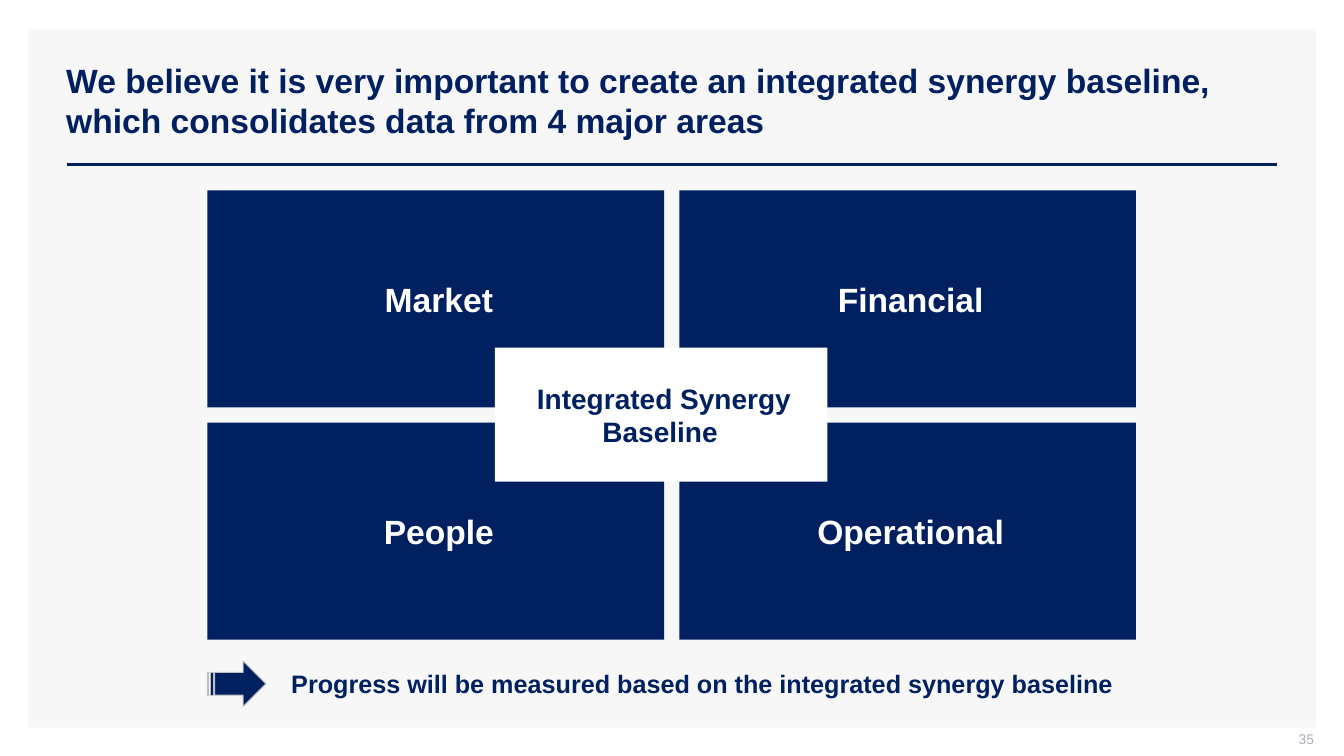
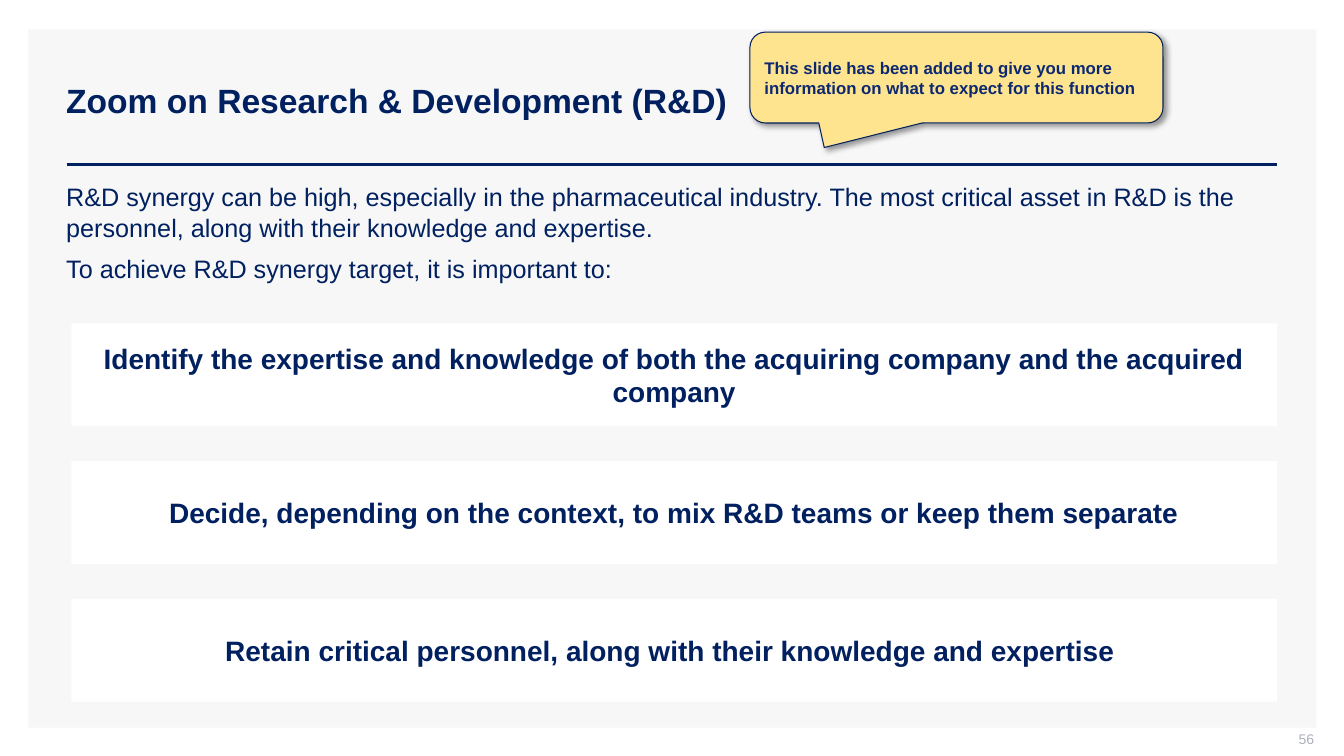
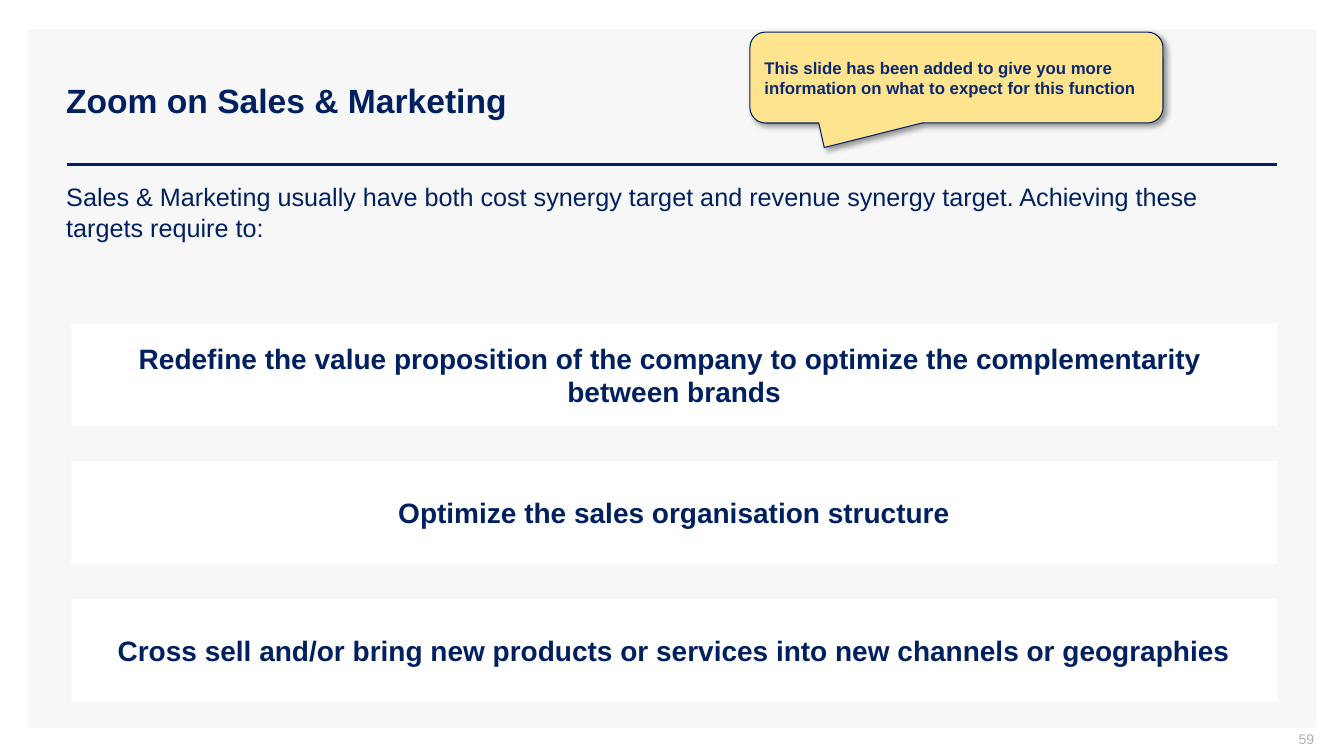
from lxml import etree
from pptx import Presentation
from pptx.dml.color import RGBColor
from pptx.enum.shapes import MSO_CONNECTOR, MSO_SHAPE
from pptx.enum.text import MSO_ANCHOR, PP_ALIGN
from pptx.oxml import parse_xml
from pptx.oxml.ns import nsdecls, qn
from pptx.util import Cm, Pt

RECT = MSO_SHAPE.RECTANGLE
STRIPED_ARROW = MSO_SHAPE.STRIPED_RIGHT_ARROW
CALLOUT = MSO_SHAPE.ROUNDED_RECTANGULAR_CALLOUT
STRAIGHT = MSO_CONNECTOR.STRAIGHT
LEFT, CENTER, RIGHT = PP_ALIGN.LEFT, PP_ALIGN.CENTER, PP_ALIGN.RIGHT
TOP, MIDDLE = MSO_ANCHOR.TOP, MSO_ANCHOR.MIDDLE

FONT = "Arial"
NAVY, WHITE, PANEL, GREY = "002060", "FFFFFF", "F7F7F7", "ADAFBB"
ARROW_EDGE, NOTE_FILL, NOTE_TEXT = "BFBFBF", "FFE48F", "0C2870"
DEFAULT_INSETS = (0.25, 0.13, 0.25, 0.13)
TIGHT_INSETS = (0.2, 0.05, 0.05, 0.05)

BASELINE = {
    "page": "35",
    "title": "We believe it is very important to create an integrated synergy "
             "baseline, which consolidates data from 4 major areas",
    "areas": [["Market", "Financial"], ["People", "Operational"]],
    "center": ["Integrated Synergy", "Baseline "],
    "takeaway": "Progress will be measured based on the integrated synergy baseline",
}
FUNCTION_NOTE = ("This slide has been added to give you more information "
                 "on what to expect for this function")
FUNCTION_ZOOMS = [
    {
        "page": "56",
        "title": "Zoom on Research & Development (R&D)",
        "intro": [
            "R&D synergy can be high, especially in the pharmaceutical industry. "
            "The most critical asset in R&D is the personnel, along with their "
            "knowledge and expertise.",
            "To achieve R&D synergy target, it is important to:",
        ],
        "actions": [
            "Identify the expertise and knowledge of both the acquiring company "
            "and the acquired company",
            "Decide, depending on the context, to mix R&D teams or keep them separate",
            "Retain critical personnel, along with their knowledge and expertise ",
        ],
    },
    {
        "page": "59",
        "title": "Zoom on Sales & Marketing",
        "intro": [
            "Sales & Marketing usually have both cost synergy target and revenue "
            "synergy target. Achieving these targets require to:",
        ],
        "actions": [
            "Redefine the value proposition of the company to optimize the "
            "complementarity \nbetween brands",
            "Optimize the sales organisation structure",
            "Cross sell and/or bring new products or services into new channels "
            "or geographies",
        ],
    },
]


def rgb(value):
    return RGBColor.from_string(value)


def write(shape, text, size=18, color=NAVY, bold=True, align=LEFT, anchor=MIDDLE,
          insets=DEFAULT_INSETS, wrap=True, gap=0):
    """Fill a shape with one paragraph per string; gap is the points between them."""
    frame = shape.text_frame
    frame.word_wrap = wrap
    frame.vertical_anchor = anchor
    (frame.margin_left, frame.margin_top,
     frame.margin_right, frame.margin_bottom) = map(Cm, insets)
    lines = [text] if isinstance(text, str) else text
    for i, line in enumerate(lines):
        paragraph = frame.add_paragraph() if i else frame.paragraphs[0]
        paragraph.text = line
        paragraph.alignment = align
        if i:
            paragraph.space_before = Pt(gap)
        for run in paragraph.runs:
            run.font.name = FONT
            run.font.size = Pt(size)
            run.font.bold = bold
            run.font.color.rgb = rgb(color)


def add_box(slide, place, fill, kind=RECT, edge=None):
    shape = slide.shapes.add_shape(kind, *map(Cm, place))
    shape.shadow.inherit = False
    shape.fill.solid()
    shape.fill.fore_color.rgb = rgb(fill)
    if edge:
        shape.line.color.rgb = rgb(edge)
        shape.line.width = Pt(0.75)
    else:
        shape.line.fill.background()
    return shape


def add_text(slide, place, text, **style):
    write(slide.shapes.add_textbox(*map(Cm, place)), text, **style)


def add_page(deck, content):
    """Add a slide with the panel, title, rule and page number all slides share."""
    slide = deck.slides.add_slide(deck.slide_layouts[6])
    add_box(slide, (0.71, 0.74, 32.46, 17.6), PANEL)
    rule = slide.shapes.add_connector(STRAIGHT, Cm(1.68), Cm(4.14), Cm(32.18), Cm(4.14))
    rule.line.color.rgb = rgb(NAVY)
    rule.line.width = Pt(2)
    etree.SubElement(rule._element.spPr, qn("a:effectLst"))
    add_text(slide, (1.42, 1.02, 30.76, 3.02), content["title"], size=24)
    add_text(slide, (25.5, 18.42, 7.62, 0.53), content["page"], size=10, color=GREY,
             bold=False, align=RIGHT, insets=(0.25, 0, 0, 0.13))
    return slide


def add_function_note(slide):
    note = add_box(slide, (18.9, 0.81, 10.41, 2.29), NOTE_FILL, CALLOUT, NAVY)
    for i, value in enumerate((-0.32, 0.77, 0.17)):
        note.adjustments[i] = value
    effects = note._element.spPr.find(qn("a:effectLst"))
    effects.append(parse_xml(
        f'<a:outerShdw {nsdecls("a")} blurRad="{Pt(4)}" dist="{Pt(3)}" dir="2700000" '
        'algn="tl" rotWithShape="0"><a:srgbClr val="000000"><a:alpha val="40000"/>'
        '</a:srgbClr></a:outerShdw>'))
    write(note, FUNCTION_NOTE, size=12, color=NOTE_TEXT)


def build_baseline(deck):
    slide = add_page(deck, BASELINE)
    left, top, width, height, gap = 5.23, 4.8, 11.51, 5.47, 0.38
    for row, areas in enumerate(BASELINE["areas"]):
        for column, area in enumerate(areas):
            place = (left + column * (width + gap), top + row * (height + gap),
                     width, height)
            write(add_box(slide, place, NAVY), area, size=24, color=WHITE,
                  align=CENTER, insets=TIGHT_INSETS)
    write(add_box(slide, (12.47, 8.76, 8.38, 3.38), WHITE), BASELINE["center"],
          size=20, align=CENTER, insets=TIGHT_INSETS, wrap=False)
    add_box(slide, (left, 16.66, 1.47, 1.14), NAVY, STRIPED_ARROW, ARROW_EDGE)
    add_text(slide, (7.09, 16.71, 21.56, 1.02), BASELINE["takeaway"], anchor=TOP)


def build_function_zoom(deck, zoom):
    slide = add_page(deck, zoom)
    add_text(slide, (1.42, 4.45, 30.76, 2.84), zoom["intro"], bold=False,
             anchor=TOP, gap=8)
    top, height, gap = 8.15, 2.59, 0.88
    for i, action in enumerate(zoom["actions"]):
        bar = add_box(slide, (1.8, top + i * (height + gap), 30.38, height), WHITE)
        write(bar, action, size=20, align=CENTER)
    add_function_note(slide)


def main():
    deck = Presentation()
    deck.slide_width, deck.slide_height = Cm(33.87), Cm(19.05)
    build_baseline(deck)
    for zoom in FUNCTION_ZOOMS:
        build_function_zoom(deck, zoom)
    deck.save("out.pptx")


if __name__ == "__main__":
    main()
